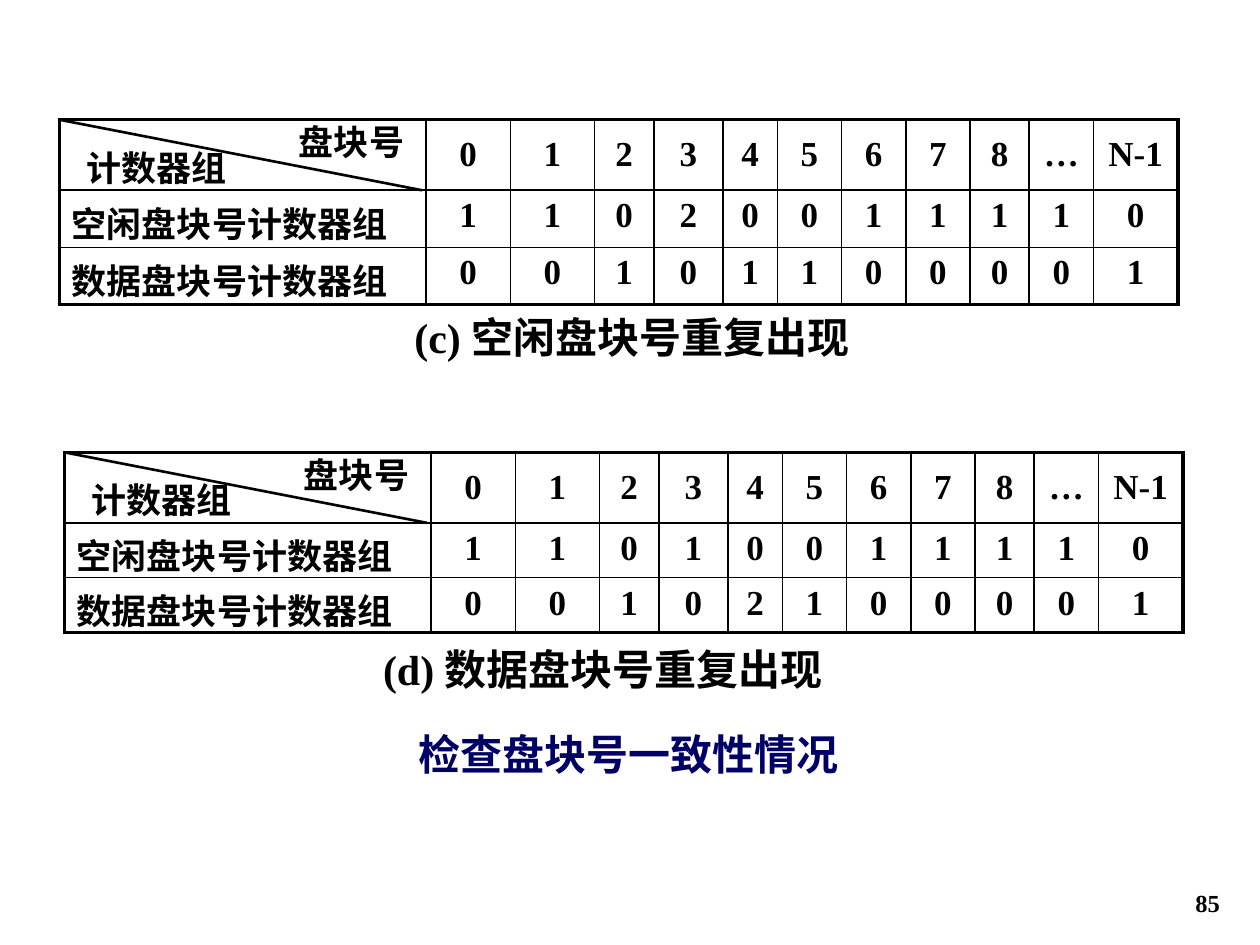
from lxml import etree
from pptx import Presentation
from pptx.dml.color import RGBColor
from pptx.enum.shapes import MSO_CONNECTOR
from pptx.enum.text import MSO_ANCHOR, PP_ALIGN
from pptx.oxml.ns import qn
from pptx.util import Inches, Pt

STRAIGHT = MSO_CONNECTOR.STRAIGHT
CENTER, LEFT, RIGHT = PP_ALIGN.CENTER, PP_ALIGN.LEFT, PP_ALIGN.RIGHT
TOP, MIDDLE, BOTTOM = MSO_ANCHOR.TOP, MSO_ANCHOR.MIDDLE, MSO_ANCHOR.BOTTOM

FONT = "Times New Roman"
BLACK, NAVY = "000000", "000066"
INNER, OUTER = 1, 2.25  # border widths in points

COLUMN_WIDTHS = [2.91, 0.67, 0.67, 0.47, 0.55, 0.43, 0.51, 0.51, 0.51, 0.47, 0.51, 0.67]
ROW_HEIGHTS = [0.56, 0.43, 0.43]
BLOCK_NUMBERS = [*"012345678", "…", "N-1"]
FREE_LABEL, DATA_LABEL = "空闲盘块号计数器组", "数据盘块号计数器组"


def rgb(color):
    return RGBColor.from_string(color)


def style_paragraph(paragraph, size, align, color=BLACK):
    paragraph.alignment = align
    font = paragraph.font
    font.name, font.size, font.bold = FONT, Pt(size), True
    font.color.rgb = rgb(color)


def add_text(slide, text, left, top, width, height, size,
             align=CENTER, color=BLACK, anchor=TOP):
    box = slide.shapes.add_textbox(Inches(left), Inches(top), Inches(width), Inches(height))
    frame = box.text_frame
    frame.word_wrap = True
    frame.vertical_anchor = anchor
    frame.text = text
    style_paragraph(frame.paragraphs[0], size, align, color)


def set_borders(cell, widths):
    """Draw the cell's left, right, top and bottom borders, in that order."""
    properties = cell._tc.get_or_add_tcPr()
    for index, (tag, width) in enumerate(zip(("a:lnL", "a:lnR", "a:lnT", "a:lnB"), widths)):
        line = etree.Element(qn(tag), w=str(Pt(width)))
        fill = etree.SubElement(line, qn("a:solidFill"))
        etree.SubElement(fill, qn("a:srgbClr"), val=BLACK)
        properties.insert(index, line)


def add_diagonal(slide, left, top):
    """Split the corner cell between its two headings."""
    diagonal = slide.shapes.add_connector(
        STRAIGHT, Inches(left), Inches(top),
        Inches(left + 2.88), Inches(top + ROW_HEIGHTS[0]))
    diagonal.line.color.rgb = rgb(BLACK)
    diagonal.line.width = Pt(1.5)
    etree.SubElement(diagonal._element.spPr, qn("a:effectLst"))


def add_counter_table(slide, left, top, free_counts, data_counts):
    rows = [["", *BLOCK_NUMBERS], [FREE_LABEL, *free_counts], [DATA_LABEL, *data_counts]]
    last_row, last_column = len(rows) - 1, len(COLUMN_WIDTHS) - 1
    table = slide.shapes.add_table(
        len(rows), len(COLUMN_WIDTHS), Inches(left), Inches(top),
        Inches(sum(COLUMN_WIDTHS)), Inches(sum(ROW_HEIGHTS))).table
    table.first_row = table.horz_banding = False
    for column, width in zip(table.columns, COLUMN_WIDTHS):
        column.width = Inches(width)

    for r, values in enumerate(rows):
        table.rows[r].height = Inches(ROW_HEIGHTS[r])
        for c, value in enumerate(values):
            cell = table.cell(r, c)
            cell.text = value
            cell.vertical_anchor = TOP if r else MIDDLE
            cell.fill.background()
            style_paragraph(cell.text_frame.paragraphs[0], 20, CENTER if c else LEFT)
            if c == 0:
                cell.margin_bottom = 0  # the tall label line fits its row
            edges = (c == 0, c == last_column, r == 0, r == last_row)
            set_borders(cell, [OUTER if edge else INNER for edge in edges])

    # Headings of the corner cell
    add_diagonal(slide, left, top)
    add_text(slide, "盘块号", left + 1.77, top - 0.04, 1.1, 0.43, 20)
    add_text(slide, "计数器组", left + 0.04, top + 0.16, 1.46, 0.43, 20)


def main():
    presentation = Presentation()
    presentation.slide_width, presentation.slide_height = Inches(10), Inches(7.5)
    slide = presentation.slides.add_slide(presentation.slide_layouts[6])

    # Case (c): a free block number appears twice
    add_counter_table(slide, 0.47, 0.95, "11020011110", "00101100001")
    add_text(slide, "(c) 空闲盘块号重复出现", 2.32, 2.42, 5.39, 0.5, 24)

    # Case (d): a data block number appears twice
    add_counter_table(slide, 0.51, 3.59, "11010011110", "00102100001")
    add_text(slide, "(d) 数据盘块号重复出现", 2.48, 5.06, 4.61, 0.5, 24)

    # Overall caption and page number
    add_text(slide, "检查盘块号一致性情况", 1.42, 5.73, 7.13, 0.5, 24, color=NAVY)
    add_text(slide, "85", 7.7, 6.83, 2.08, 0.5, 14, align=RIGHT, anchor=BOTTOM)

    presentation.save("out.pptx")


if __name__ == "__main__":
    main()
